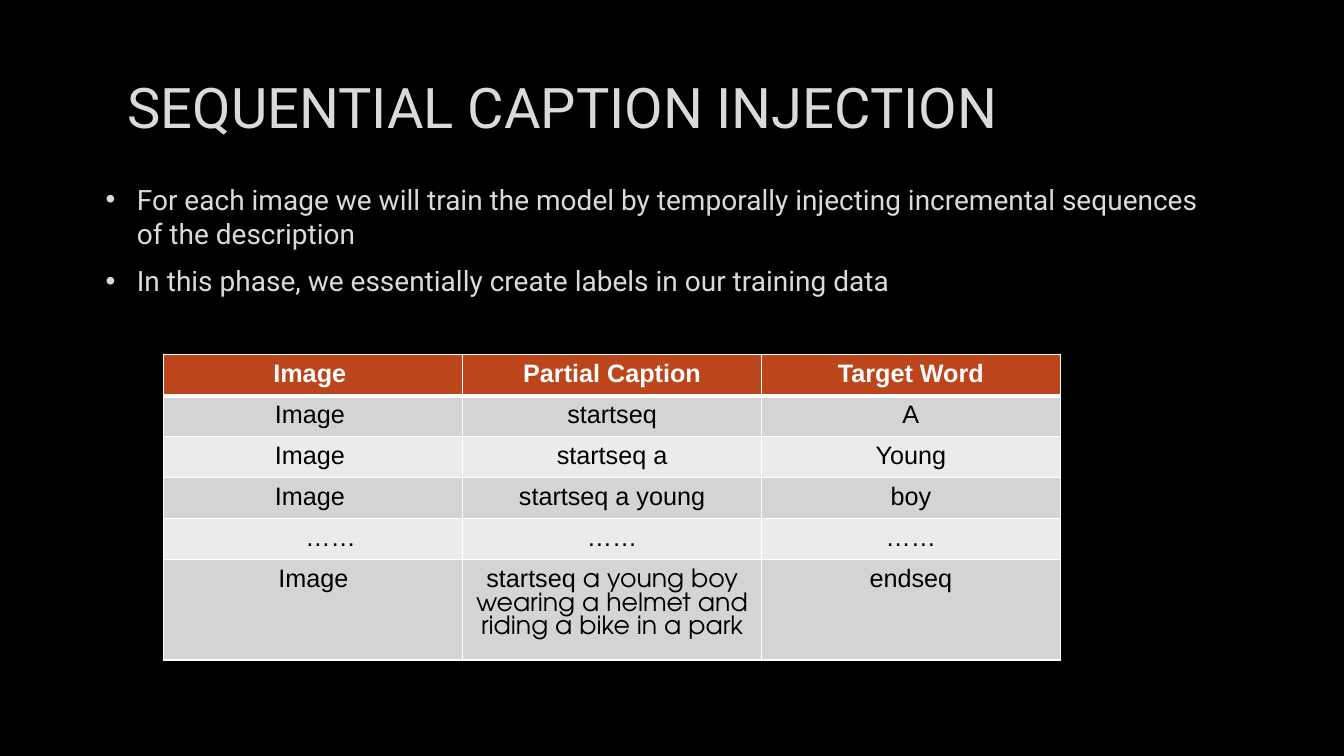
from dataclasses import dataclass

from lxml.etree import SubElement as Sub
from pptx import Presentation
from pptx.dml.color import RGBColor as RGB
from pptx.enum.text import MSO_ANCHOR as Anchor, PP_ALIGN as Align
from pptx.oxml.ns import qn
from pptx.util import Cm, Pt


@dataclass(frozen=True)
class Theme:
    """Colours, fonts and type sizes of the slide."""
    back: str = "000000"
    text: str = "DADADA"
    edge: str = "404040"
    head: str = "BC451B"
    bands: tuple = ("D4D4D4", "EBEBEB")
    rule: str = "FFFFFF"
    ink: str = "000000"
    font: str = "Roboto"
    grid: str = "Arial"
    round: str = "TeX Gyre Adventor"
    title: int = 40
    body: int = 20
    cell: int = 18


@dataclass(frozen=True)
class Box:
    """Place and size of a text box in centimetres."""
    left: float
    top: float
    width: float
    height: float
    foot: float = 0.13


@dataclass(frozen=True)
class Row:
    """One table row: texts, a tail in the round font, and a first indent."""
    image: str
    caption: str
    word: str
    tail: str = ""
    shift: float = 0


THEME = Theme()
TITLE = Box(2.97, 1.35, 27.94, 2.64)
BODY = Box(2.41, 0.48, 28.5, 12.32, foot=1.31)
POINTS = (
    "For each image we will train the model by temporally injecting "
    "incremental sequences of the description",
    "In this phase, we essentially create labels in our training data",
)
ROWS = (
    Row("Image ", "Partial Caption", "Target Word"),
    Row("Image ", "startseq", "A"),
    Row("Image ", "startseq a", "Young"),
    Row("Image ", "startseq a young", "boy"),
    Row("……", "……", "……", shift=0.88),
    Row("Image", "startseq ", "endseq",
        tail="a young boy wearing a helmet and riding a bike in a park"),
)


def tint(node, color: str):
    """Add a solid fill to an XML node and return its colour element."""
    fill = Sub(node, qn("a:solidFill"))
    return Sub(fill, qn("a:srgbClr"), val=color)


def put(para, text: str, *, size: int, color: str, font: str,
        bold: bool = False, edge: str = "") -> None:
    """Add a formatted run to a paragraph."""
    run = para.add_run()
    run.text = text
    if edge:
        line = Sub(run._r.get_or_add_rPr(), qn("a:ln"), w=str(Pt(0.75)))
        Sub(tint(line, edge), qn("a:alpha"), val="10000")
    run.font.size = Pt(size)
    run.font.bold = bold
    run.font.name = font
    run.font.color.rgb = RGB.from_string(color)


def frame(slide, box: Box):
    """Add a wrapped, middle-anchored text box and return its frame."""
    area = (box.left, box.top, box.width, box.height)
    text = slide.shapes.add_textbox(*map(Cm, area)).text_frame
    text.word_wrap = True
    text.vertical_anchor = Anchor.MIDDLE
    text.margin_bottom = Cm(box.foot)
    return text


def dot(para) -> None:
    """Give a paragraph a hanging bullet."""
    prop = para._p.get_or_add_pPr()
    prop.set("marL", str(Cm(0.79)))
    prop.set("indent", str(-Cm(0.79)))
    Sub(Sub(prop, qn("a:buClr")), qn("a:srgbClr"), val=THEME.text)
    Sub(prop, qn("a:buFont"), typeface=THEME.grid)
    Sub(prop, qn("a:buChar"), char="•")


def rule(cell, top: int, foot: int) -> None:
    """Draw the four borders of a cell."""
    prop = cell._tc.get_or_add_tcPr()
    for side, width in zip("LRTB", (1, 1, top, foot)):
        line = Sub(prop, qn(f"a:ln{side}"), w=str(Pt(width)))
        tint(line, THEME.rule)


def grid(slide, rows: tuple[Row, ...]) -> None:
    """Draw the caption table."""
    high = Cm(1.03)
    table = slide.shapes.add_table(
        len(rows), 3, Cm(4.13), Cm(8.94), Cm(22.59), high * len(rows)).table
    for i, row in enumerate(rows):
        table.rows[i].height = high
        fill = THEME.bands[(i - 1) % 2] if i else THEME.head
        look = dict(size=THEME.cell, color=THEME.ink if i else THEME.rule,
                    bold=i == 0)
        for j, text in enumerate((row.image, row.caption, row.word)):
            cell = table.cell(i, j)
            rule(cell, 3 if i == 1 else 1, 1 if i else 3)
            cell.fill.solid()
            cell.fill.fore_color.rgb = RGB.from_string(fill)
            para = cell.text_frame.paragraphs[0]
            para.alignment = Align.CENTER
            put(para, text, font=THEME.grid, **look)
            if j == 0 and row.shift:
                cell.margin_left = Cm(0.25 + row.shift)
            if j == 1 and row.tail:
                put(para, row.tail, font=THEME.round, **look)


def main() -> None:
    """Build the slide and save it."""
    deck = Presentation()
    deck.slide_width, deck.slide_height = Cm(33.87), Cm(19.05)
    slide = deck.slides.add_slide(deck.slide_layouts[6])
    slide.background.fill.solid()
    slide.background.fill.fore_color.rgb = RGB.from_string(THEME.back)
    look = dict(color=THEME.text, font=THEME.font, edge=THEME.edge)
    put(frame(slide, TITLE).paragraphs[0], "SEQUENTIAL CAPTION INJECTION",
        size=THEME.title, **look)
    body = frame(slide, BODY)
    for i, text in enumerate(POINTS):
        para = body.add_paragraph() if i else body.paragraphs[0]
        dot(para)
        if i:
            para.space_before = Pt(10)
        put(para, text, size=THEME.body, **look)
    grid(slide, ROWS)
    deck.save("out.pptx")


if __name__ == "__main__":
    main()
